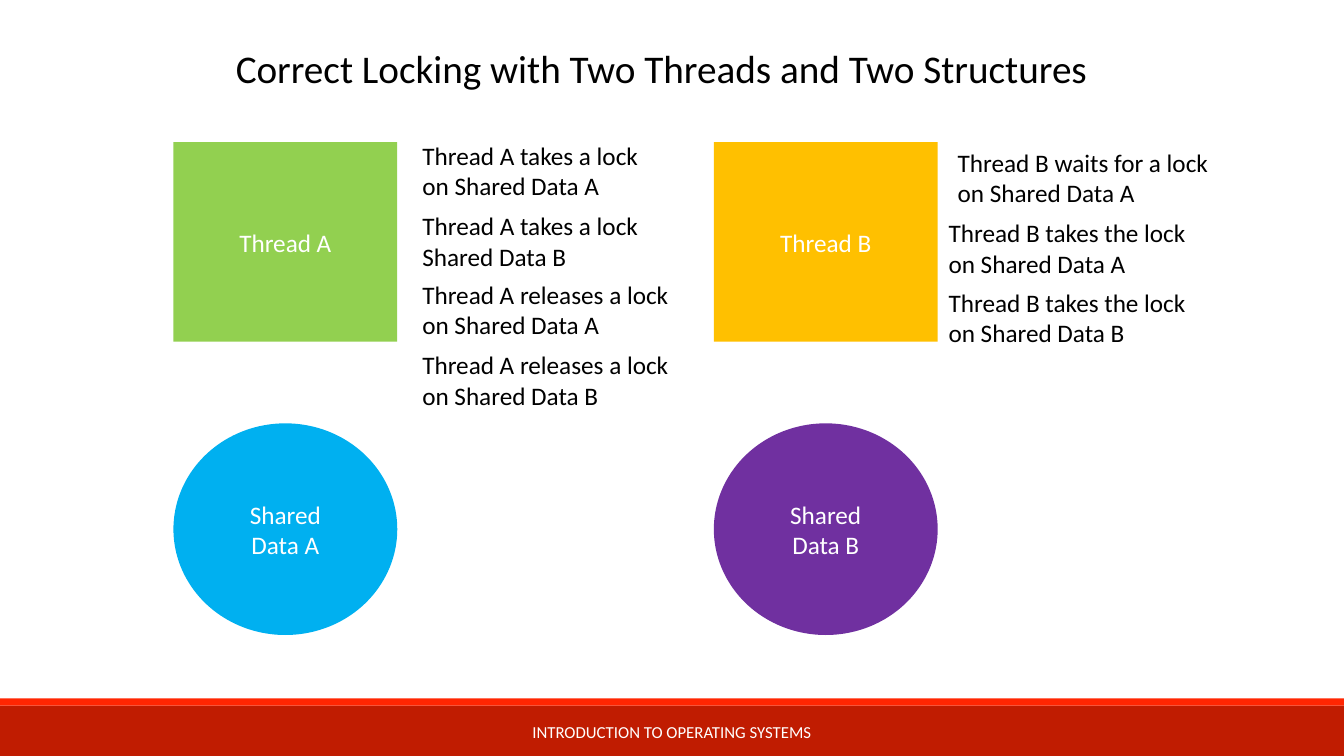
from pptx import Presentation
from pptx.dml.color import RGBColor
from pptx.enum import shapes, text
from pptx.util import Inches, Pt

FONT = "Calibri"
BLACK = RGBColor(0x00, 0x00, 0x00)
WHITE = RGBColor(0xFF, 0xFF, 0xFF)
DARK_RED = RGBColor(0xC0, 0x1C, 0x01)
RED = RGBColor(0xFF, 0x26, 0x02)
GREEN = RGBColor(0x92, 0xD0, 0x50)
AMBER = RGBColor(0xFF, 0xC0, 0x00)
BLUE = RGBColor(0x00, 0xB0, 0xF0)
PURPLE = RGBColor(0x70, 0x30, 0xA0)

SLIDE_W, SLIDE_H = 13.33, 7.5
RECT = shapes.MSO_SHAPE.RECTANGLE
OVAL = shapes.MSO_SHAPE.OVAL


def write(frame, lines, size=18, color=BLACK, align=text.PP_ALIGN.LEFT,
          anchor=text.MSO_ANCHOR.TOP, wrap=False):
    """Fill a text frame with one paragraph per line."""
    frame.word_wrap = wrap
    frame.vertical_anchor = anchor
    for index, line in enumerate(lines):
        paragraph = frame.paragraphs[0] if index == 0 else frame.add_paragraph()
        paragraph.alignment = align
        run = paragraph.add_run()
        run.text = line
        run.font.name = FONT
        run.font.size = Pt(size)
        run.font.color.rgb = color


def add_label(slide, box, lines, **text_format):
    label = slide.shapes.add_textbox(*map(Inches, box))
    write(label.text_frame, lines, **text_format)
    if not label.text_frame.word_wrap:
        label.text_frame.auto_size = text.MSO_AUTO_SIZE.SHAPE_TO_FIT_TEXT


def add_block(slide, kind, box, fill, lines=()):
    block = slide.shapes.add_shape(kind, *map(Inches, box))
    block.shadow.inherit = False
    block.fill.solid()
    block.fill.fore_color.rgb = fill
    block.line.fill.background()
    write(block.text_frame, lines, color=WHITE, align=text.PP_ALIGN.CENTER,
          anchor=text.MSO_ANCHOR.MIDDLE, wrap=True)


def add_footer(slide, left, top, width, height):
    stripe, caption_w = 0.07, 5.27
    add_block(slide, RECT, (left, top + stripe, width, height - stripe), DARK_RED)
    add_block(slide, RECT, (left, top, width, stripe), RED)
    add_label(slide, (left + (width - caption_w) / 2, top + 0.13, caption_w, 0.4),
              ["INTRODUCTION TO OPERATING SYSTEMS"], size=12, color=WHITE,
              align=text.PP_ALIGN.CENTER, anchor=text.MSO_ANCHOR.MIDDLE, wrap=True)


def add_thread_column(slide, left, top, width, name, thread_fill, data_fill, steps):
    """A thread above its shared data, with lock steps to the right."""
    add_block(slide, RECT, (left, top, width, 1.98), thread_fill, [f"Thread {name}"])
    add_block(slide, OVAL, (left, top + 2.79, width, 2.1), data_fill,
              ["Shared", f"Data {name}"])
    for dx, dy, step_w, action, target in steps:
        add_label(slide, (left + width + dx, top + dy, step_w, 0.71),
                  [f"Thread {name} {action}", target])


def main():
    deck = Presentation()
    deck.slide_width, deck.slide_height = Inches(SLIDE_W), Inches(SLIDE_H)
    slide = deck.slides.add_slide(deck.slide_layouts[6])

    # Footer band
    add_footer(slide, 0, 6.93, SLIDE_W, SLIDE_H - 6.93)

    # Threads and shared data; steps are (dx, dy, width, action, target)
    add_thread_column(slide, 1.72, 1.41, 2.22, "A", GREEN, BLUE, [
        (0.15, -0.07, 2.41, "takes a lock", "on Shared Data A"),
        (0.15, 0.63, 2.41, "takes a lock", "Shared Data B"),
        (0.15, 1.31, 2.7, "releases a lock", "on Shared Data A"),
        (0.15, 2.01, 2.7, "releases a lock", "on Shared Data B"),
    ])
    add_thread_column(slide, 7.08, 1.41, 2.22, "B", AMBER, PURPLE, [
        (0.1, 0, 2.78, "waits for a lock", "on Shared Data A"),
        (0.01, 0.7, 2.63, "takes the lock", "on Shared Data A"),
        (0.01, 1.39, 2.63, "takes the lock", "on Shared Data B"),
    ])

    # Title
    add_label(slide, (2.24, 0.39, 8.86, 0.57),
              ["Correct Locking with Two Threads and Two Structures"], size=28)

    deck.save("out.pptx")


if __name__ == "__main__":
    main()
